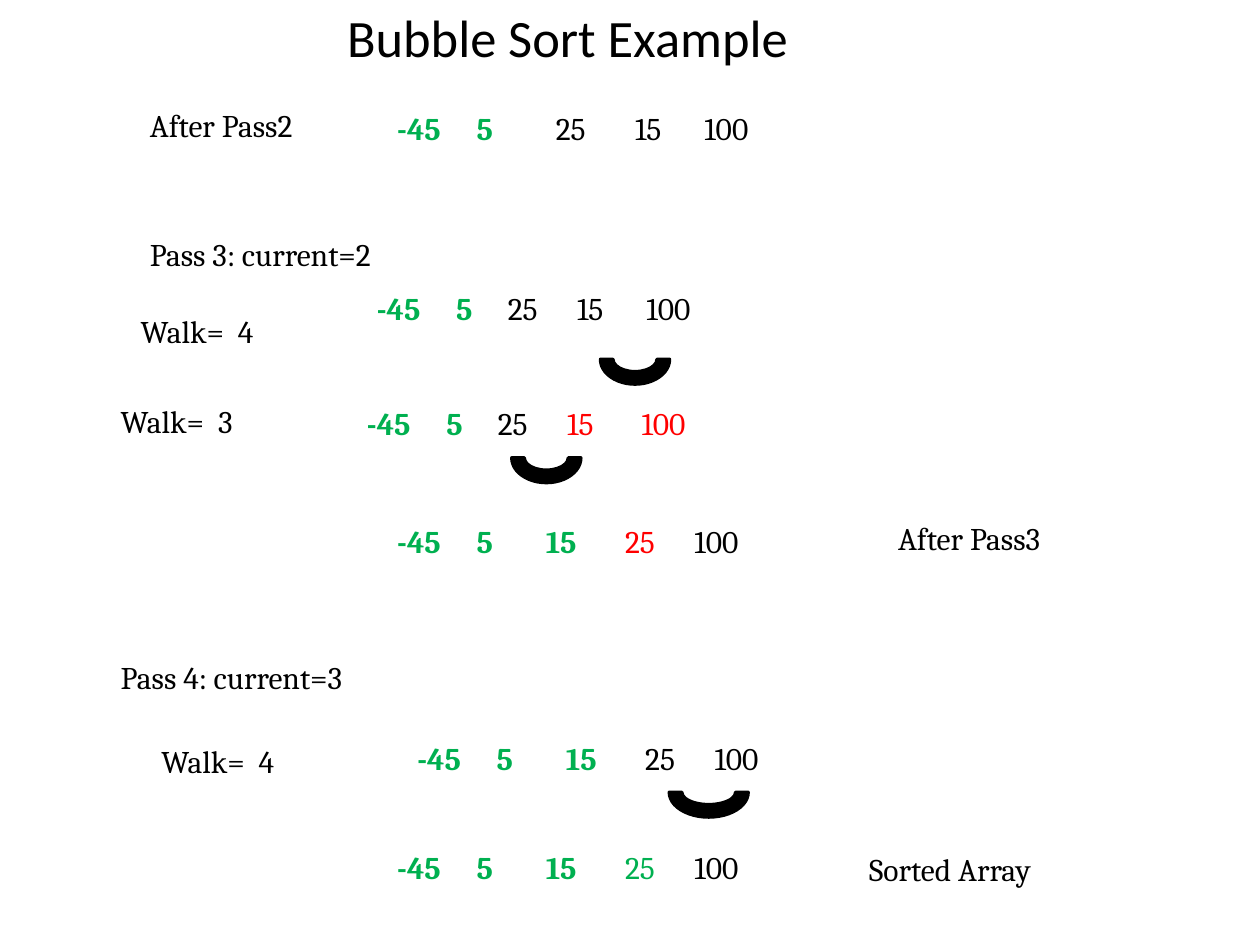
from pptx import Presentation
from pptx.dml.color import RGBColor
from pptx.enum.shapes import MSO_SHAPE
from pptx.enum.text import MSO_ANCHOR, PP_ALIGN
from pptx.util import Pt

BLOCK_ARC = MSO_SHAPE.BLOCK_ARC
MIDDLE = MSO_ANCHOR.MIDDLE
CENTER = PP_ALIGN.CENTER

THEME = {
    "title_font": "Calibri", "title_size": 30,
    "body_font": "Cambria", "body_size": 18,
    "black": RGBColor(0, 0, 0),
    "green": RGBColor(0x00, 0xB0, 0x50),
    "red": RGBColor(0xFF, 0, 0),
}

# Cell looks: (theme colour, bold)
PLAIN = ("black", False)
SORTED = ("green", True)
PLACED = ("green", False)
SWAPPED = ("red", False)

TITLE = "Bubble Sort Example "

# Labels: text, left, top, width
LABELS = [
    ("After Pass2", 78.5, 58.5, 124),
    ("Pass 3: current=2", 78.5, 132.5, 220),
    ("Walk=  4", 73.2, 176.5, 124),
    ("Walk=  3", 61.8, 228, 124),
    ("After Pass3", 506, 294.5, 124),
    ("Pass 4: current=3", 61.8, 374.3, 220),
    ("Walk=  4", 85, 422, 124),
    ("Sorted Array", 489.5, 484, 163),
]
LABEL_HEIGHT = 31

# Arrays: left, top, height, column widths, values, looks
WIDE = (45.3, 39.6, 45.3, 39.6, 64.8)
ARRAYS = [
    (219.8, 60.5, 29.5, (45.3, 45.3, 45.3, 39.6, 64.8),
     (-45, 5, 25, 15, 100), (SORTED, SORTED, PLAIN, PLAIN, PLAIN)),
    (208.2, 163.5, 40.3, (45.3, 29.5, 39.6, 39.6, 64.8),
     (-45, 5, 25, 15, 100), (SORTED, SORTED, PLAIN, PLAIN, PLAIN)),
    (202.5, 229, 29, (45.3, 29.5, 39.6, 42.5, 64.8),
     (-45, 5, 25, 15, 100), (SORTED, SORTED, PLAIN, SWAPPED, SWAPPED)),
    (219.8, 296.7, 29.5, WIDE,
     (-45, 5, 15, 25, 100), (SORTED, SORTED, SORTED, SWAPPED, PLAIN)),
    (231.3, 420.5, 29.5, WIDE,
     (-45, 5, 15, 25, 100), (SORTED, SORTED, SORTED, PLAIN, PLAIN)),
    (219.8, 482.5, 29.5, WIDE,
     (-45, 5, 15, 25, 100), (SORTED, SORTED, SORTED, PLACED, PLAIN)),
]

# Comparison arcs: left, top, width
ARCS = [(343.2, 191.2, 39.4), (292.5, 247.5, 39.4), (382.5, 438.6, 45)]
ARC_HEIGHT = 28.3
HALF_TURN = 108  # 180 degrees in adjustment units


def add_run(p, text, font, size, colour, bold=False):
    r = p.add_run()
    r.text = text
    style = {"name": font, "size": Pt(size), "bold": bold}
    for key, value in style.items():
        setattr(r.font, key, value)
    r.font.color.rgb = THEME[colour]


def add_title(s):
    box = s.shapes.add_textbox(Pt(33.8), 0, Pt(588), Pt(46))
    tf = box.text_frame
    tf.word_wrap = True
    tf.vertical_anchor = MIDDLE
    p = tf.paragraphs[0]
    p.alignment = CENTER
    p.line_spacing = 0.9
    add_run(p, TITLE, THEME["title_font"], THEME["title_size"], "black")


def add_row(s, left, top, height, widths, values, looks):
    """Add a one-row table without fills."""
    frame = s.shapes.add_table(1, len(widths), Pt(left), Pt(top),
                               Pt(sum(widths)), Pt(height))
    table = frame.table
    table.first_row = table.horz_banding = False
    table.rows[0].height = Pt(height)
    for i, (width, value, look) in enumerate(zip(widths, values, looks)):
        table.columns[i].width = Pt(width)
        cell = table.cell(0, i)
        cell.fill.background()
        add_run(cell.text_frame.paragraphs[0], str(value),
                THEME["body_font"], THEME["body_size"], *look)


def add_arc(s, left, top, width):
    """Add the lower half of a ring that joins two compared values."""
    sp = s.shapes.add_shape(BLOCK_ARC, Pt(left), Pt(top), Pt(width), Pt(ARC_HEIGHT))
    sp.adjustments[0] = 0
    sp.adjustments[1] = HALF_TURN
    sp.adjustments[2] = 0.25
    sp.shadow.inherit = False
    sp.fill.solid()
    sp.fill.fore_color.rgb = THEME["black"]
    sp.line.color.rgb = THEME["black"]
    sp.line.width = Pt(2)


def main():
    prs = Presentation()
    prs.slide_width, prs.slide_height = Pt(720), Pt(540)
    s = prs.slides.add_slide(prs.slide_layouts[6])
    add_title(s)
    for text, left, top, width in LABELS:
        add_row(s, left, top, LABEL_HEIGHT, [width], [text], [PLAIN])
    for array in ARRAYS:
        add_row(s, *array)
    for arc in ARCS:
        add_arc(s, *arc)
    prs.save("out.pptx")


if __name__ == "__main__":
    main()
